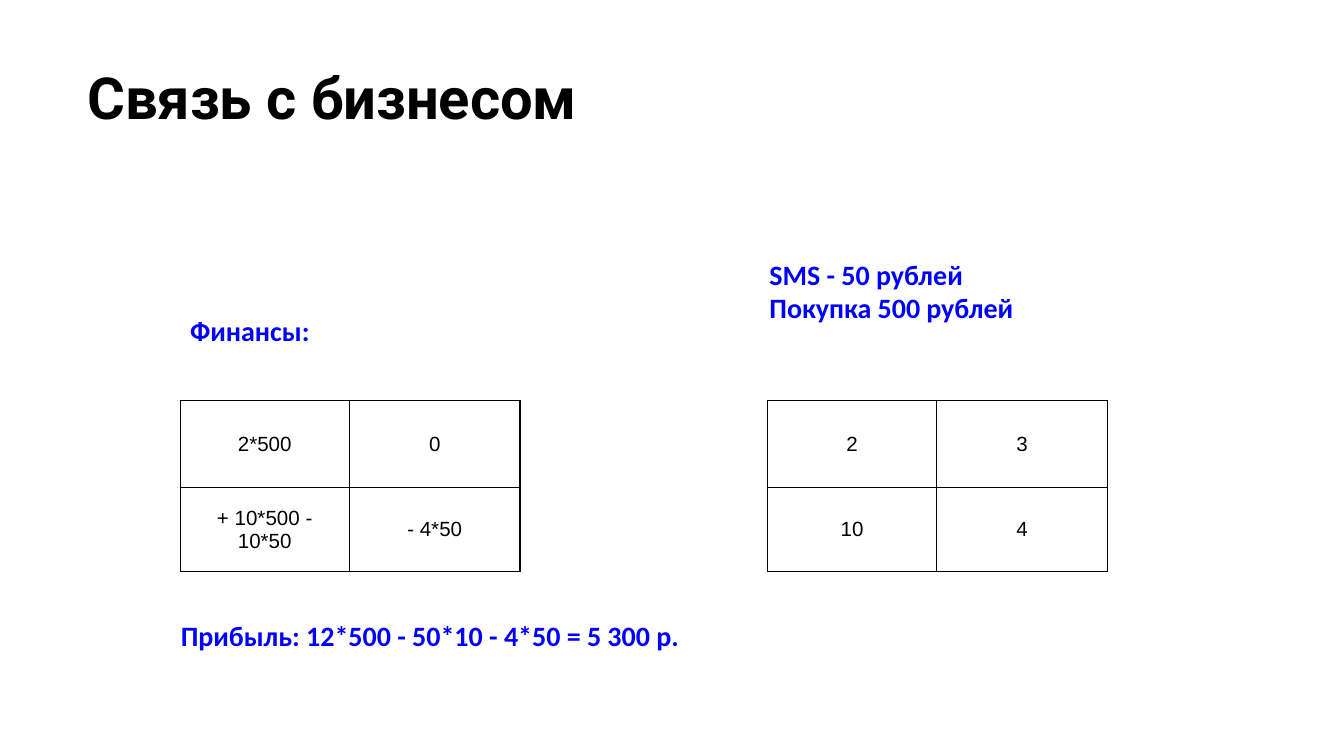
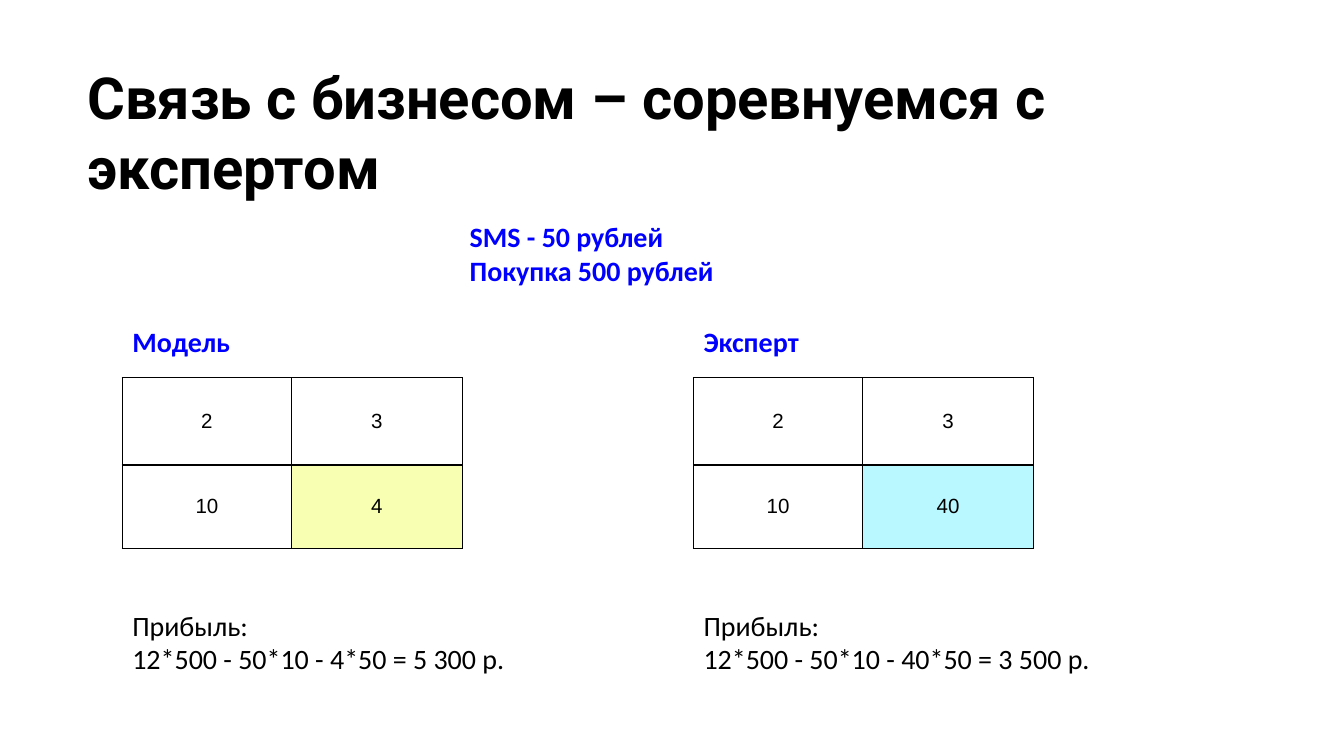
from lxml.etree import SubElement
from pptx import Presentation
from pptx.dml.color import RGBColor as RGB
from pptx.enum.text import MSO_ANCHOR as ANCHOR, PP_ALIGN as ALIGN
from pptx.oxml.ns import qn
from pptx.util import Inches, Pt

COLORS = {
    "text": "000000",
    "accent": "0000FF",
    "model": "F8FFB3",
    "expert": "BAF8FF",
}
COL_WIDTHS = (1.26, 1.27)
ROW_HEIGHTS = (0.65, 0.62)
INSET = Pt(5.4)
PRICES = "SMS - 50 рублей\nПокупка 500 рублей"


def write(tf, text, font="Calibri", size=15, color="text", bold=False,
          align=ALIGN.LEFT):
    """Fill a text frame: \\n starts a paragraph, \\v breaks a line."""
    for i, para in enumerate(text.split("\n")):
        p = tf.add_paragraph() if i else tf.paragraphs[0]
        p.alignment = align
        for j, line in enumerate(para.split("\v")):
            if j:
                p.add_line_break()
            r = p.add_run()
            r.text = line
            r.font.name = font
            r.font.size = Pt(size)
            r.font.bold = bold
            r.font.color.rgb = RGB.from_string(COLORS[color])


def set_margins(box, inset):
    box.margin_left = box.margin_right = inset
    box.margin_top = box.margin_bottom = inset


class Deck:
    def __init__(self):
        self.prs = Presentation()
        self.prs.slide_width = Inches(10)
        self.prs.slide_height = Inches(10 * 9 / 16)
        self.slide = None

    def add_slide(self, title):
        self.slide = self.prs.slides.add_slide(self.prs.slide_layouts[6])
        self.text(title, 0.55, 0.36, 9.32, 1.2, inset=Inches(0.1),
                  font="Roboto", size=31, bold=True)

    def text(self, text, x, y, w, h, inset=INSET, **style):
        sp = self.slide.shapes.add_textbox(
            Inches(x), Inches(y), Inches(w), Inches(h))
        tf = sp.text_frame
        tf.word_wrap = True
        set_margins(tf, inset)
        write(tf, text, **style)

    def accent(self, text, x, y, w=3.17, h=0.4):
        self.text(text, x, y, w, h, color="accent", bold=True)

    def border(self, cell):
        tc_pr = cell._tc.get_or_add_tcPr()
        for i, side in enumerate(("a:lnL", "a:lnR", "a:lnT", "a:lnB")):
            ln = SubElement(tc_pr, qn(side), w=str(Pt(0.75)))
            fill = SubElement(ln, qn("a:solidFill"))
            SubElement(fill, qn("a:srgbClr"), val=COLORS["text"])
            tc_pr.insert(i, ln)

    def matrix(self, rows, x, y, last_fill=None):
        """2x2 table; last_fill colours the bottom right cell."""
        table = self.slide.shapes.add_table(
            2, 2, Inches(x), Inches(y), Inches(sum(COL_WIDTHS)),
            Inches(sum(ROW_HEIGHTS))).table
        table.first_row = table.horz_banding = False
        for col, width in zip(table.columns, COL_WIDTHS):
            col.width = Inches(width)
        for row, height, values in zip(table.rows, ROW_HEIGHTS, rows):
            row.height = Inches(height)
            for cell, value in zip(row.cells, values):
                set_margins(cell, INSET)
                cell.vertical_anchor = ANCHOR.MIDDLE
                write(cell.text_frame, value, font="Arial", size=11,
                      align=ALIGN.CENTER)
                cell.fill.background()
                self.border(cell)
        if last_fill:
            fill = table.cell(1, 1).fill
            fill.solid()
            fill.fore_color.rgb = RGB.from_string(COLORS[last_fill])


def main():
    deck = Deck()

    # Slide 1: money behind each cell of the matrix
    deck.add_slide("Связь с бизнесом")
    deck.matrix([("2", "3"), ("10", "4")], 5.71, 2.98)
    deck.accent(PRICES, 5.65, 1.84, h=0.66)
    deck.accent("Прибыль: 12*500 - 50*10 - 4*50 = 5 300 p.",
                1.27, 4.53, w=3.93)
    deck.matrix([("2*500", "0"), ("+ 10*500 - 10*50", "- 4*50")], 1.34, 2.98)
    deck.accent("Финансы:", 1.34, 2.26)

    # Slide 2: model against expert
    deck.add_slide("Связь с бизнесом – соревнуемся с экспертом")
    deck.accent(PRICES, 3.42, 1.56, h=0.66)
    contenders = [
        ("Модель", 0.91, "4", "5 300", "model", 3.93),
        ("Эксперт", 5.16, "40", "3 500", "expert", 4.14),
    ]
    for name, x, sms, profit, fill, width in contenders:
        deck.accent(name, x, 2.34)
        deck.matrix([("2", "3"), ("10", sms)], x, 2.81, last_fill=fill)
        deck.text(f"Прибыль: \v12*500 - 50*10 - {sms}*50 = {profit} p.",
                  x, 4.45, width, 0.66)

    deck.prs.save("out.pptx")


if __name__ == "__main__":
    main()
